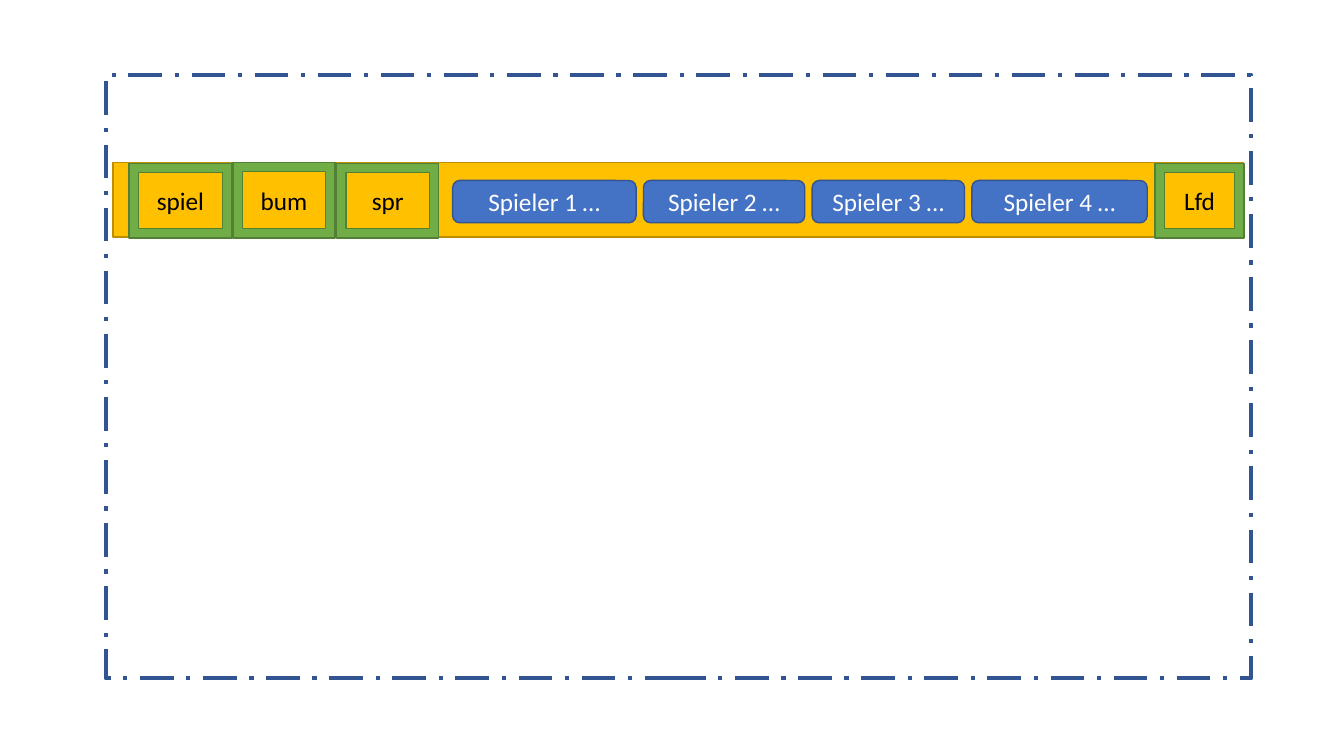
from pptx import Presentation
from pptx.dml.color import RGBColor
from pptx.enum.dml import MSO_LINE
from pptx.enum.shapes import MSO_SHAPE
from pptx.enum.text import MSO_ANCHOR, PP_ALIGN
from pptx.util import Inches, Pt

RECT = MSO_SHAPE.RECTANGLE
ROUND = MSO_SHAPE.ROUNDED_RECTANGLE
FRAME = MSO_SHAPE.FRAME
DASH = MSO_LINE.LONG_DASH_DOT
MIDDLE = MSO_ANCHOR.MIDDLE
CENTER = PP_ALIGN.CENTER

WIDTH, HEIGHT = Inches(13.333), Inches(7.5)
COLORS = {
    "blue": "4472C4", "navy": "325491",
    "gold": "FFC000", "ochre": "BD8E00",
    "green": "70AD47", "moss": "538035",
    "white": "FFFFFF", "black": "000000",
}

# Lengths are percentages of the slide's width or height.
BORDER = (7.88, 9.87, 85.2, 79.87)
BAR = (8.4, 21.47, 84.08, 9.87)
PLAYER_LEFT, PLAYER_TOP, PLAYER_HIGH, PLAYER_GAP = 33.68, 23.87, 5.6, 0.55
PLAYERS = [13.65, 12, 11.33, 13.05]
FRAME_BASE = 31.47
FRAMES = [
    ("spiel", 9.6, 21.6, 7.65),
    ("bum", 17.33, 21.47, 7.6),
    ("spr", 25.05, 21.6, 7.6),
    ("Lfd", 85.95, 21.6, 6.6),
]


def color(name):
    return RGBColor.from_string(COLORS[name])


def add_box(slide, kind, box, line, fill=None, weight=1, dash=None):
    """Draw a preset shape; box is left, top, width, height in percent."""
    left, top, wide, high = box
    shape = slide.shapes.add_shape(
        kind, int(WIDTH * left / 100), int(HEIGHT * top / 100),
        int(WIDTH * wide / 100), int(HEIGHT * high / 100))
    shape.shadow.inherit = False
    if fill:
        shape.fill.solid()
        shape.fill.fore_color.rgb = color(fill)
    else:
        shape.fill.background()
    shape.line.color.rgb = color(line)
    shape.line.width = Pt(weight)
    if dash:
        shape.line.dash_style = dash
    return shape


def add_text(shape, text, ink="black", size=18, face="Calibri"):
    frame = shape.text_frame
    frame.word_wrap = True
    frame.vertical_anchor = MIDDLE
    para = frame.paragraphs[0]
    para.alignment = CENTER
    run = para.add_run()
    run.text = text
    run.font.name = face
    run.font.size = Pt(size)
    run.font.color.rgb = color(ink)


def add_players(slide):
    left = PLAYER_LEFT
    for count, wide in enumerate(PLAYERS, 1):
        box = (left, PLAYER_TOP, wide, PLAYER_HIGH)
        player = add_box(slide, ROUND, box, "navy", fill="blue")
        add_text(player, f"Spieler {count} …", ink="white")
        left += wide + PLAYER_GAP


def add_frames(slide):
    for label, left, top, wide in FRAMES:
        box = (left, top, wide, FRAME_BASE - top)
        add_text(add_box(slide, FRAME, box, "moss", fill="green"), label)


def main():
    deck = Presentation()
    deck.slide_width, deck.slide_height = WIDTH, HEIGHT
    slide = deck.slides.add_slide(deck.slide_layouts[6])
    add_box(slide, RECT, BORDER, "navy", weight=3, dash=DASH)
    add_box(slide, RECT, BAR, "ochre", fill="gold")
    add_players(slide)
    add_frames(slide)
    deck.save("out.pptx")


if __name__ == "__main__":
    main()
